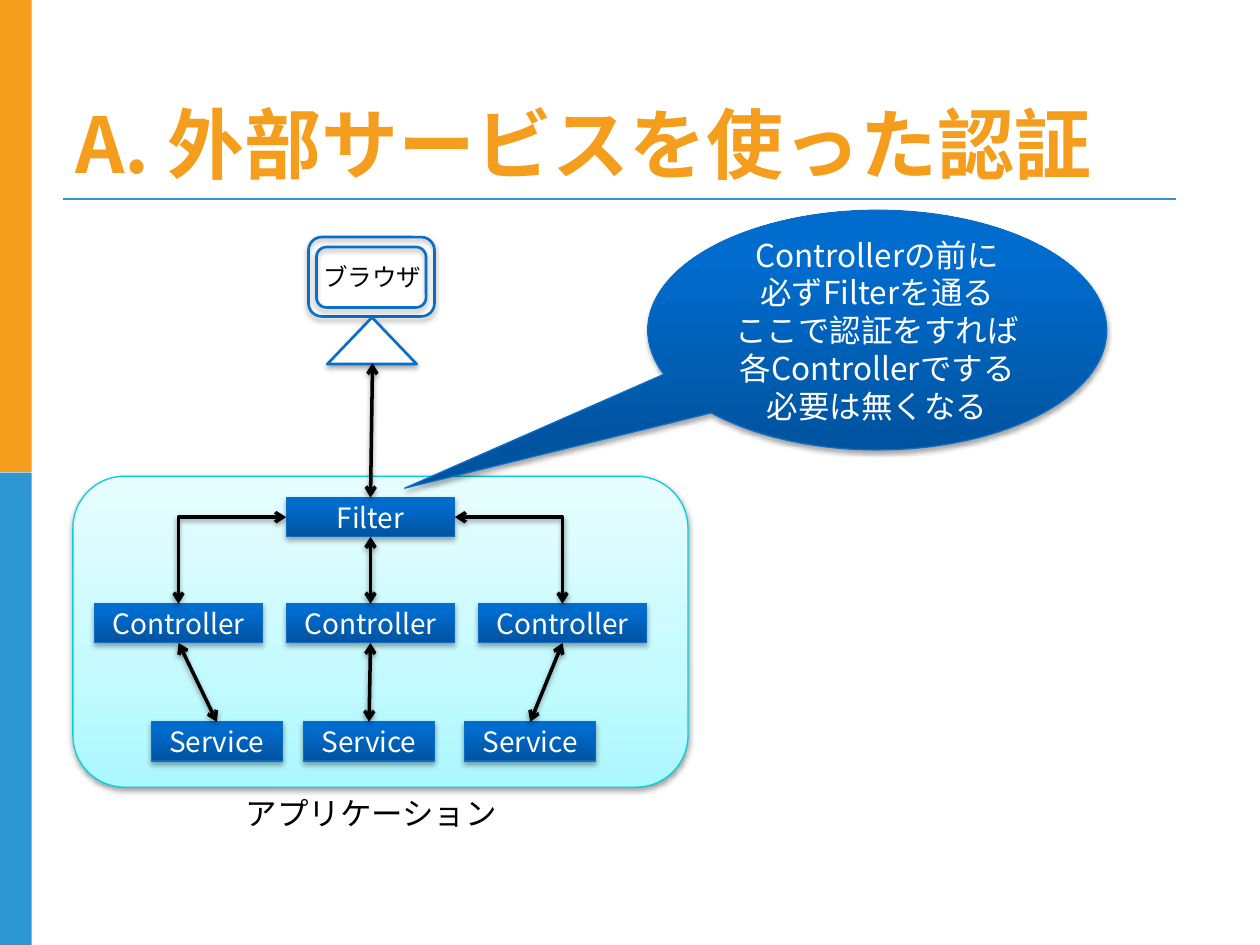
from pptx import Presentation
from pptx import util as u
from pptx.dml.color import RGBColor
from pptx.enum import shapes, text
from pptx.oxml import parse_xml
from pptx.oxml.ns import nsdecls, qn

FONT = "Noto Sans CJK JP"
COLORS = {"orange": "F59D1C", "sky": "2D97D3", "outline": "0A6DC6",
          "cyan": "06D0D9", "black": "000000", "white": "FFFFFF"}
GRADIENTS = {"blue": [(0, "00539F"), (80, "006CCE"), (100, "006DCF")],
             "aqua": [(0, "ABF8FF"), (35, "C3FAFF"), (100, "E8FDFF")]}
KIND = shapes.MSO_SHAPE


def color(name):
    return RGBColor.from_string(COLORS[name])


def write(frame, *lines, size, ink="white", bold=False,
          align=text.PP_ALIGN.CENTER, anchor=text.MSO_ANCHOR.MIDDLE, wrap=True):
    frame.word_wrap = wrap
    frame.vertical_anchor = anchor
    for index, line in enumerate(lines):
        para = frame.paragraphs[0] if index == 0 else frame.add_paragraph()
        para.alignment = align
        span = para.add_run()
        span.text = line
        span.font.size = u.Pt(size)
        span.font.bold = bold
        span.font.name = FONT
        span.font.color.rgb = color(ink)
        span.font._element.append(
            parse_xml(f'<a:ea {nsdecls("a")} typeface="{FONT}"/>'))


def add_shadow(properties, alpha=35, distance=1.8):
    """Soft shadow straight below; the outline must be set beforehand."""
    for old in properties.findall(qn("a:effectLst")):
        properties.remove(old)
    properties.append(parse_xml(
        f'<a:effectLst {nsdecls("a")}><a:outerShdw blurRad="{u.Pt(3.1)}" '
        f'dist="{u.Pt(distance)}" dir="5400000" rotWithShape="0">'
        f'<a:srgbClr val="000000"><a:alpha val="{alpha * 1000}"/></a:srgbClr>'
        '</a:outerShdw></a:effectLst>'))


def add_box(page, kind, left, top, width, height, fill=None, line=None,
            weight=0.75, shadow=None):
    box = page.shapes.add_shape(
        kind, u.Cm(left), u.Cm(top), u.Cm(width), u.Cm(height))
    box.shadow.inherit = False
    properties = box._element.spPr
    if fill in GRADIENTS:
        stops = "".join(
            f'<a:gs pos="{place * 1000}"><a:srgbClr val="{value}"/></a:gs>'
            for place, value in GRADIENTS[fill])
        properties.find(qn("a:prstGeom")).addnext(parse_xml(
            f'<a:gradFill {nsdecls("a")} rotWithShape="1"><a:gsLst>{stops}'
            '</a:gsLst><a:lin ang="16200000" scaled="0"/></a:gradFill>'))
    elif fill:
        box.fill.solid()
        box.fill.fore_color.rgb = color(fill)
    else:
        box.fill.background()
    if line:
        box.line.color.rgb = color(line)
        box.line.width = u.Pt(weight)
    else:
        box.line.fill.background()
    if shadow:
        add_shadow(properties, *shadow)
    return box


def add_blue(page, kind, *place):
    return add_box(page, kind, *place, fill="blue", line="outline",
                   shadow=(35, 1.8))


def add_node(page, label, left, top, width):
    box = add_blue(page, KIND.RECTANGLE, left, top, width, 0.79)
    write(box.text_frame, label, size=16)
    return box


def add_label(page, label, left, top, width, height, **style):
    box = page.shapes.add_textbox(
        u.Cm(left), u.Cm(top), u.Cm(width), u.Cm(height))
    write(box.text_frame, label, ink="black", align=text.PP_ALIGN.LEFT,
          anchor=text.MSO_ANCHOR.TOP, **style)


def add_line(page, x1=0, y1=0, x2=0, y2=0, ink="black", weight=2,
             kind=shapes.MSO_CONNECTOR.STRAIGHT):
    link = page.shapes.add_connector(
        kind, u.Cm(x1), u.Cm(y1), u.Cm(x2), u.Cm(y2))
    link.line.color.rgb = color(ink)
    link.line.width = u.Pt(weight)
    link._element.spPr.append(parse_xml(f'<a:effectLst {nsdecls("a")}/>'))
    return link


def add_arrow(page, target, side, source=None, source_side=2, start=(0, 0),
              bent=False):
    """Double-headed arrow from a box, or a free start point, to a box."""
    kinds = shapes.MSO_CONNECTOR
    link = add_line(page, *start, *start,
                    kind=kinds.ELBOW if bent else kinds.STRAIGHT)
    if source is not None:
        link.begin_connect(source, source_side)
    link.end_connect(target, side)
    properties = link._element.spPr
    if bent:
        properties.find(qn("a:prstGeom")).set("prst", "bentConnector2")
    for end in ("headEnd", "tailEnd"):
        properties.find(qn("a:ln")).append(
            parse_xml(f'<a:{end} {nsdecls("a")} type="arrow"/>'))
    add_shadow(properties, 38, 1.6)


def add_frame(page):
    # Side bars, title and the rule below it
    for top, fill in ((0, "orange"), (9.53, "sky")):
        add_box(page, KIND.RECTANGLE, 0, top, 0.64, 9.52, fill=fill)
    add_line(page, 1.27, 4.01, 23.7, 4.01, ink="sky", weight=1.5)
    title = page.shapes.title
    title.left, title.top = u.Cm(1.27), u.Cm(0.76)
    title.width, title.height = u.Cm(22.86), u.Cm(3.18)
    write(title.text_frame, "A. 外部サービスを使った認証", size=44, ink="orange",
          bold=True, align=text.PP_ALIGN.LEFT, anchor=text.MSO_ANCHOR.BOTTOM)


def add_browser(page):
    for kind, fill, *place in (
            (KIND.ROUNDED_RECTANGLE, None, 6.22, 4.78, 2.54, 1.6),
            (KIND.ROUNDED_RECTANGLE, None, 6.38, 4.98, 2.21, 1.22),
            (KIND.ISOSCELES_TRIANGLE, "white", 6.6, 6.4, 1.8, 0.94)):
        add_box(page, kind, *place, fill=fill, line="outline", weight=1.5,
                shadow=(35, 1.8))
    add_label(page, "ブラウザ", 6.27, 5.16, 2.57, 0.86, size=14)


def add_application(page):
    add_box(page, KIND.ROUNDED_RECTANGLE, 1.47, 9.6, 12.4, 6.27, fill="aqua",
            line="cyan", shadow=(38, 1.6))
    add_label(page, "アプリケーション", 4.7, 15.88, 5.64, 1.02, size=18, wrap=False)

    # Three layers of nodes
    front = add_node(page, "Filter", 5.77, 10.03, 3.4)
    controllers = [add_node(page, "Controller", 1.9 + 3.87 * column, 12.17, 3.4)
                   for column in range(3)]
    services = [add_node(page, "Service", left, 14.55, 2.64)
                for left in (3.05, 6.12, 9.37)]

    # Arrows between the layers
    add_arrow(page, front, 0, start=(7.51, 7.32))
    for controller, service, side in zip(controllers, services, (1, 2, 3)):
        add_arrow(page, controller, 0, front, side, bent=side != 2)
        add_arrow(page, service, 0, controller)


def add_callout(page):
    callout = add_blue(page, KIND.OVAL_CALLOUT, 13.06, 4.24, 9.25, 4.83)
    callout.adjustments[0] = -1.03
    callout.adjustments[1] = 0.66
    write(callout.text_frame, "Controllerの前に", "必ずFilterを通る",
          "ここで認証をすれば", "各Controllerでする必要は無くなる", size=18)


def main():
    deck = Presentation()
    deck.slide_width, deck.slide_height = u.Cm(25.4), u.Cm(19.05)
    page = deck.slides.add_slide(deck.slide_layouts[5])
    add_frame(page)
    add_browser(page)
    add_application(page)
    add_callout(page)
    deck.save("out.pptx")


if __name__ == "__main__":
    main()
